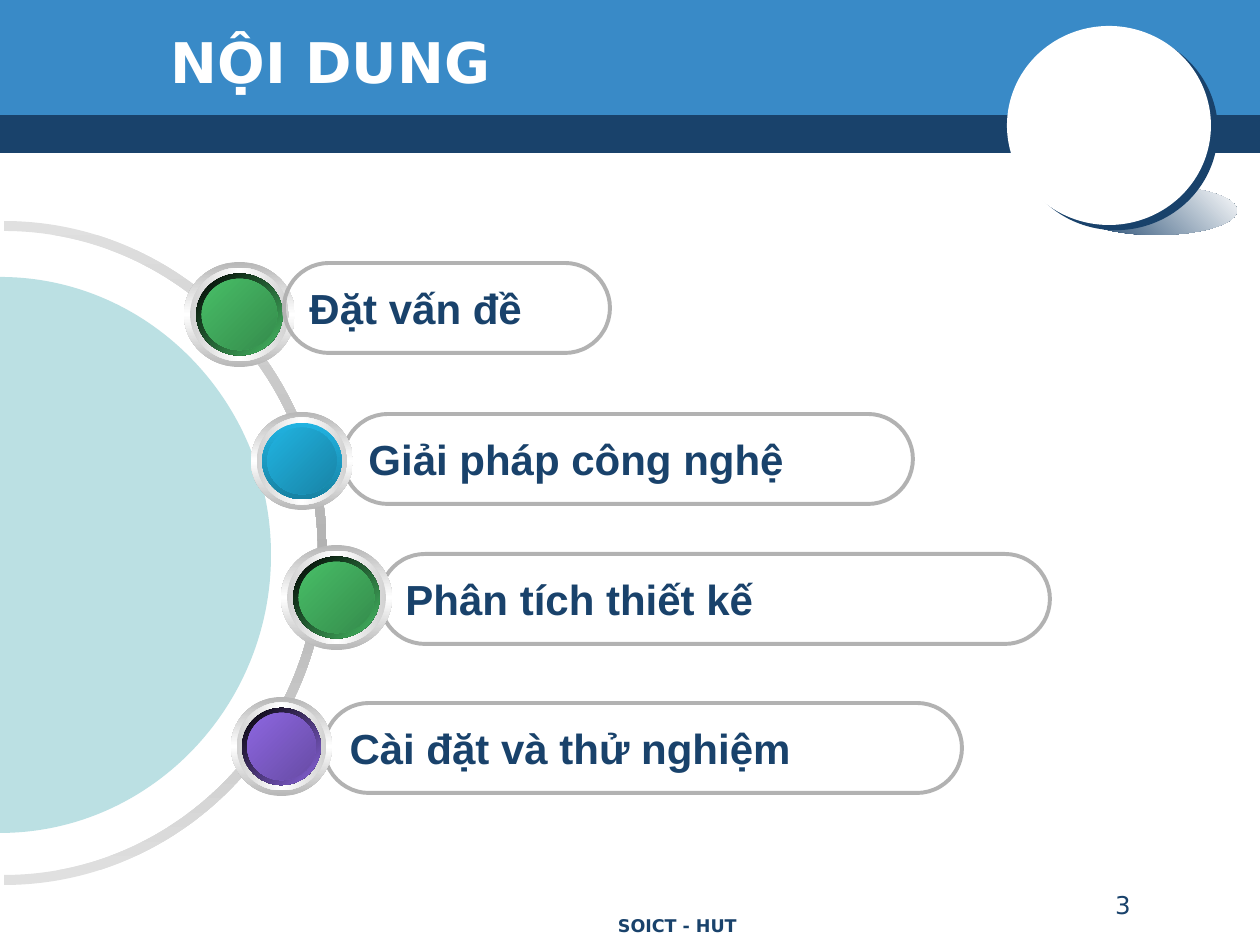
from dataclasses import dataclass

from lxml import etree
from pptx import Presentation
from pptx import util as u
from pptx.dml.color import RGBColor
from pptx.enum import shapes, text
from pptx.oxml.ns import qn

PX = 914400 / 126  # EMU in one px
OVAL = shapes.MSO_SHAPE.OVAL
QUARTER = 0.55  # handle length of a quarter ellipse, as a share of its radius


@dataclass(frozen=True)
class Theme:
    """Gradient colours may end in *n, a shade of n percent."""
    navy: str = "19426B"
    blue: str = "398AC7"
    white: str = "FFFFFF"
    pale: str = "BBE0E3"
    outline: str = "B2B2B2"
    arc: tuple = ("E0E0E0", "B2B2B2", "E0E0E0")
    rim: tuple = ("FFFFFF*47", "FFFFFF", "FFFFFF*47")
    bevel: tuple = ("FFFFFF*64", "FFFFFF", "FFFFFF*64")
    heading_font: str = "DejaVu Sans"
    label_font: str = "Arial"
    title_size: int = 32
    label_size: int = 24
    number_size: int = 14
    footer_size: int = 10


THEME = Theme()

# Each ball: groove colours, groove angle, face colours
GREEN = (("000000", "48BE67"), 45, ("48BE67", "48BE67*50"))
CYAN = (("21B3E1", "21B3E1*48"), 90, ("21B3E1", "21B3E1*50"))
PURPLE = (("000000", "8D67E1"), 45, ("8D67E1", "8D67E1*49"))

# Label, pill box, ball box, ball colours
TOPICS = [
    ("Cài đặt và thử nghiệm", (324, 703, 638, 90), (231, 697, 101, 99), PURPLE),
    ("Giải pháp công nghệ", (343, 414, 570, 90), (251, 412, 102, 98), CYAN),
    ("Phân tích thiết kế", (380, 554, 670, 90), (281, 545, 111, 105), GREEN),
    ("Đặt vấn đề", (284, 263, 326, 90), (184, 262, 111, 105), GREEN),
]


def emu(box):
    return [u.Emu(round(length * PX)) for length in box]


def paint(shape, fill, angle=0):
    """Fill with one colour, or with evenly spaced colours turned clockwise by angle."""
    shape.shadow.inherit = False
    shape.line.fill.background()
    if isinstance(fill, str):
        shape.fill.solid()
        shape.fill.fore_color.rgb = RGBColor.from_string(fill)
        return
    shape.fill.gradient()
    shape.fill.gradient_angle = (360 - angle) % 360
    stops = shape.element.spPr.find(qn("a:gradFill")).find(qn("a:gsLst"))
    for stop in list(stops):
        stops.remove(stop)
    for i, colour in enumerate(fill):
        base, _, shade = colour.partition("*")
        stop = etree.SubElement(stops, qn("a:gs"), pos=str(100000 * i // (len(fill) - 1)))
        tint = etree.SubElement(stop, qn("a:srgbClr"), val=base)
        if shade:
            etree.SubElement(tint, qn("a:shade"), val=shade + "000")


def add_preset(parent, kind, box, fill, angle=0):
    shape = parent.add_shape(kind, *emu(box))
    paint(shape, fill, angle)
    return shape


def write(shape, wording, *, size, font=THEME.heading_font, colour=THEME.navy, bold=True,
          align=text.PP_ALIGN.LEFT, anchor=text.MSO_ANCHOR.MIDDLE):
    frame = shape.text_frame
    frame.word_wrap = True
    frame.auto_size = text.MSO_AUTO_SIZE.NONE
    frame.vertical_anchor = anchor
    paragraph = frame.paragraphs[0]
    paragraph.alignment = align
    run = paragraph.add_run()
    run.text = wording
    run.font.name = font
    run.font.size = u.Pt(size)
    run.font.bold = bold
    run.font.color.rgb = RGBColor.from_string(colour)


def add_hard_shadow(shape, colour, distance, angle):
    effects = shape.element.spPr.find(qn("a:effectLst"))
    shadow = etree.SubElement(effects, qn("a:outerShdw"), blurRad="0", algn="ctr",
                              dist=str(u.Pt(distance)), dir=str(angle * 60000), rotWithShape="0")
    etree.SubElement(shadow, qn("a:srgbClr"), val=colour)


def right_half(centre, radii):
    """Curve points of the right half of an ellipse: top, handles, right, handles, bottom."""
    unit = [(0, -1), (QUARTER, -1), (1, -QUARTER), (1, 0), (1, QUARTER), (QUARTER, 1), (0, 1)]
    return [(centre[0] + radii[0] * x, centre[1] + radii[1] * y) for x, y in unit]


def add_curved(slide, arcs, fill, angle=0):
    """Close a series of arcs into one outline, joined by straight lines."""
    points = [emu(point) for arc in arcs for point in arc]
    builder = slide.shapes.build_freeform(*points[0])
    builder.add_line_segments(points[1:], close=True)
    outline = builder.convert_to_shape()
    segments = list(outline.element.iter(qn("a:lnTo")))
    for i, arc in enumerate(arcs):
        first = i * len(arc)
        for start in range(first, first + len(arc) - 1, 3):
            bend, *rest = segments[start:start + 3]
            curve = etree.Element(qn("a:cubicBezTo"))
            bend.addprevious(curve)
            for segment in (bend, *rest):
                curve.append(segment[0])
                segment.getparent().remove(segment)
    paint(outline, fill, angle)


def add_header(slide):
    band = shapes.MSO_SHAPE.RECTANGLE
    add_preset(slide.shapes, band, (0, 110, 1260, 43), THEME.navy)
    add_preset(slide.shapes, band, (0, 0, 1260, 115), THEME.blue)
    emblem = slide.shapes.add_group_shape().shapes
    add_preset(emblem, OVAL, (1076, 186, 161, 49), (THEME.navy, THEME.white), 315)
    disc = add_preset(emblem, OVAL, (1007, 26, 204, 199), THEME.white)
    add_hard_shadow(disc, THEME.navy, 5, 37)
    add_preset(emblem, OVAL, (1075, 96, 72, 68), THEME.white)

    title = slide.shapes.title
    title.left, title.top, title.width, title.height = emu((158, 22, 1018, 78))
    write(title, "NỘI DUNG", size=THEME.title_size, colour=THEME.white)
    slide.shapes.element.append(title.element)  # in front of the bands


def add_pill(slide, label, box):
    pill = add_preset(slide.shapes, shapes.MSO_SHAPE.ROUNDED_RECTANGLE, box, THEME.white)
    pill.adjustments[0] = 0.5
    pill.fill.background()
    pill.line.color.rgb = RGBColor.from_string(THEME.outline)
    pill.line.width = u.Pt(2.25)
    write(pill, label, size=THEME.label_size, font=THEME.label_font)


def add_ball(slide, box, colours):
    """Stack concentric ovals from the metal rim in to the coloured face."""
    groove, groove_angle, face = colours
    left, top, width, height = box
    ball = slide.shapes.add_group_shape().shapes
    layers = [(1, THEME.rim, 90), (0.89, THEME.bevel, 0),
              (0.78, groove, groove_angle), (0.68, face, 45)]
    for scale, fill, angle in layers:
        inset = (1 - scale) / 2
        layer_box = (left + width * inset, top + height * inset, width * scale, height * scale)
        add_preset(ball, OVAL, layer_box, fill, angle)


def add_note(slide, wording, box, **style):
    write(slide.shapes.add_textbox(*emu(box)), wording, align=text.PP_ALIGN.RIGHT,
          anchor=text.MSO_ANCHOR.TOP, **style)


def main():
    deck = Presentation()
    deck.slide_width, deck.slide_height = emu((1260, 945))
    slide = deck.slides.add_slide(deck.slide_layouts[5])

    add_header(slide)
    ring_centre = (4, 553)
    ring = [right_half(ring_centre, (323, 332)), right_half(ring_centre, (314, 322))[::-1]]
    add_curved(slide, ring, THEME.arc, 90)
    add_curved(slide, [right_half((0, 555), (271, 278))], THEME.pale)

    *behind, front = TOPICS
    for label, pill_box, _, _ in behind:
        add_pill(slide, label, pill_box)
    for _, _, ball_box, colours in TOPICS:
        add_ball(slide, ball_box, colours)
    add_pill(slide, front[0], front[1])

    add_note(slide, "SOICT - HUT", (548, 909, 201, 30), size=THEME.footer_size)
    add_note(slide, "3", (849, 884, 294, 33), size=THEME.number_size, bold=False)
    deck.save("out.pptx")


if __name__ == "__main__":
    main()
